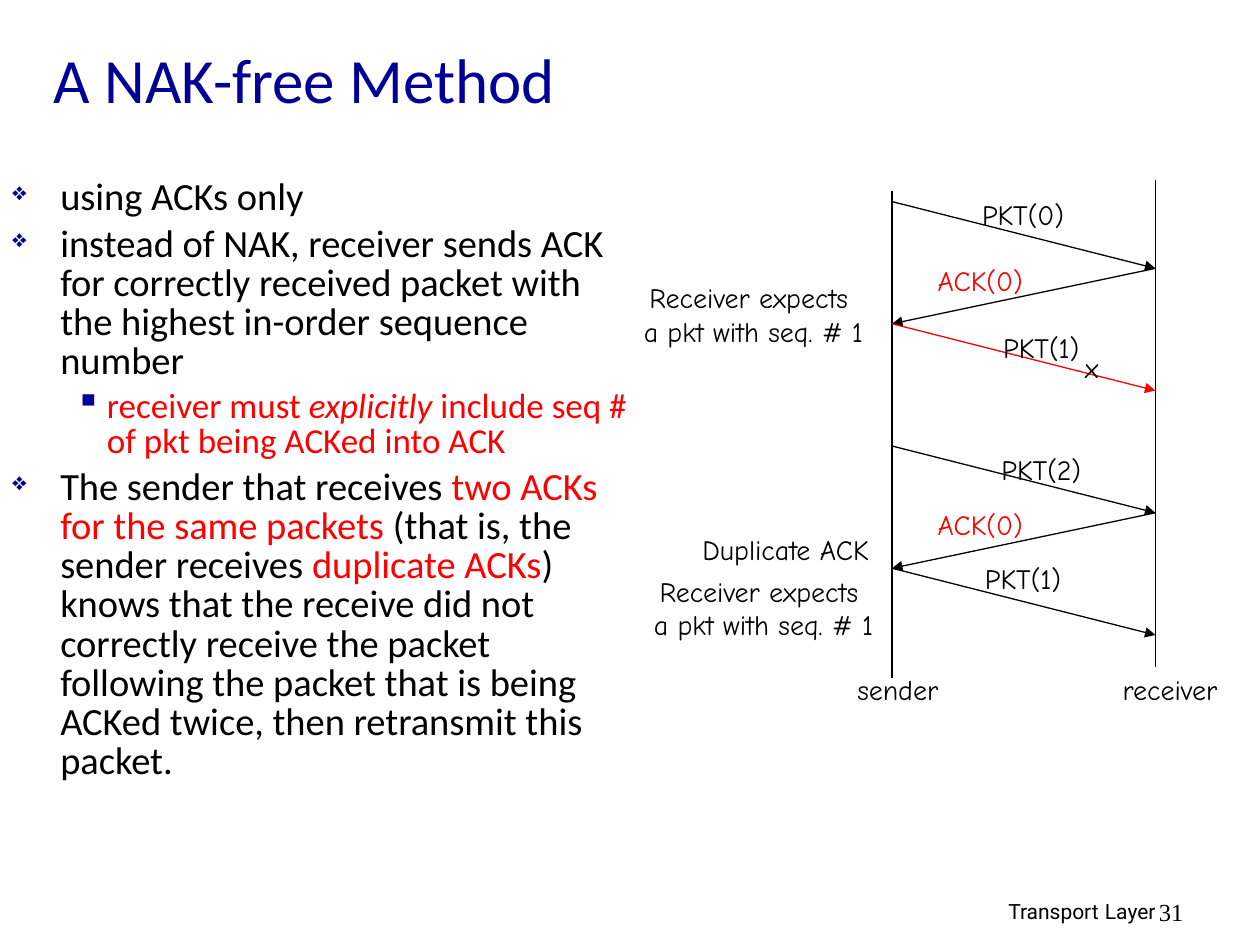
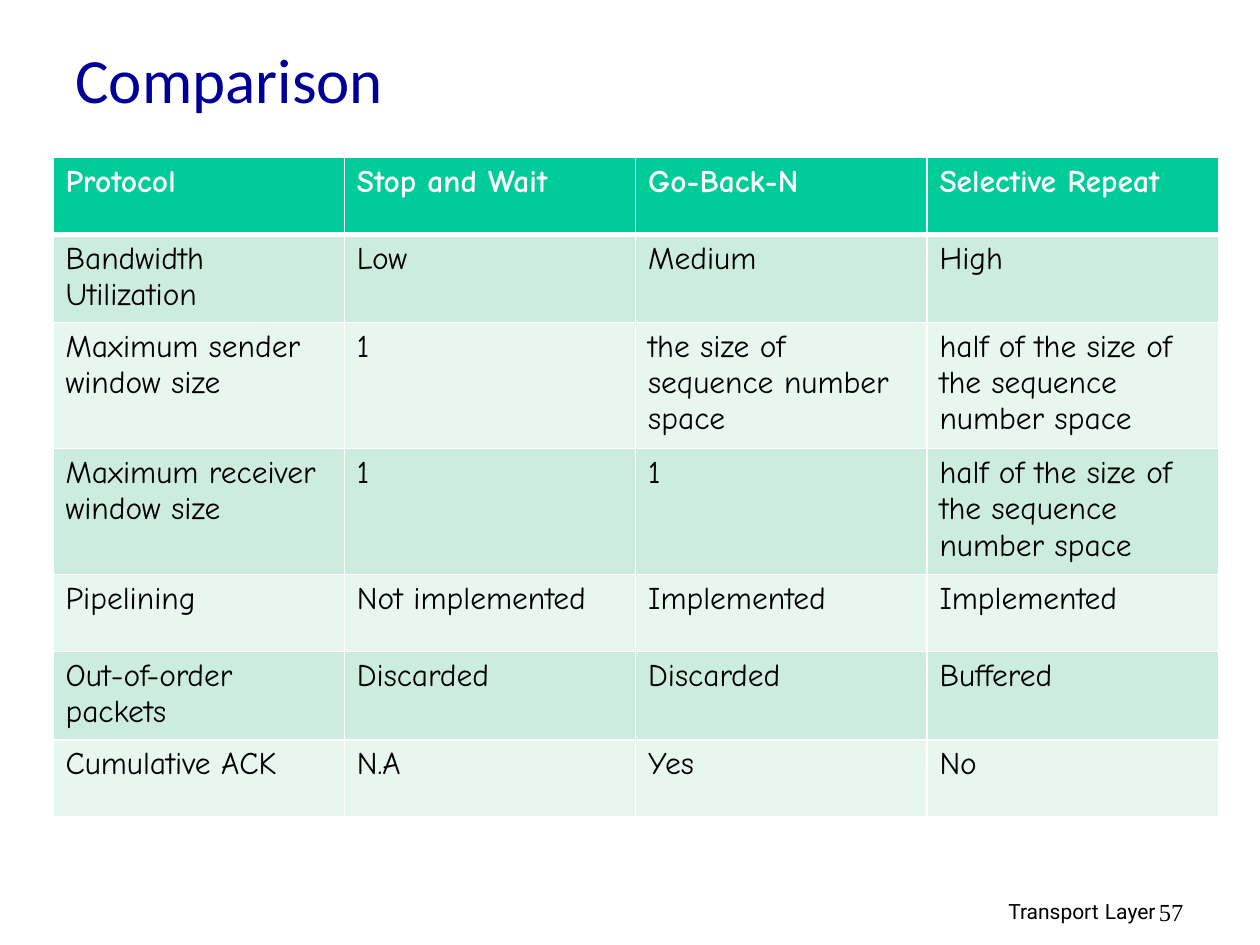
from lxml import etree
from pptx import Presentation
from pptx import util as u
from pptx.dml import color
from pptx.enum import shapes, text
from pptx.oxml import ns

HUES = {"ink": "000000", "navy": "000099", "red": "FF0000", "white": "FFFFFF",
        "head": "00CC99", "odd": "CBECDE", "even": "E7F6EF"}
SENDER, RECEIVER = 7.08, 9.17
ROUND = 1.94


def hue(name):
    return color.RGBColor.from_string(HUES[name])


def sub(node, tag, **attrs):
    return etree.SubElement(node, ns.qn("a:" + tag), attrs)


class Deck:
    sans, hand, small, serif = "Calibri", "Comic Neue", "Roboto", "Times New Roman"

    def __init__(self):
        self.file = Presentation()
        self.file.slide_width = u.Inches(10)
        self.file.slide_height = u.Inches(7.5)
        self.slide = None

    def style(self, font, face, size, shade="ink", bold=False, italic=False):
        font.name, font.size = face, u.Pt(size)
        font.bold, font.italic = bold, italic
        font.color.rgb = hue(shade)

    def page(self, title, left, number):
        self.slide = self.file.slides.add_slide(self.file.slide_layouts[6])
        frame = self.box(left, 0, 8.5, 1.25)
        frame.vertical_anchor = text.MSO_ANCHOR.MIDDLE
        self.line(frame.paragraphs[0], [(title, "navy", False)], self.sans, 36)
        frame = self.box(9.1, 7.07, 0.74, 0.3)
        self.line(frame.paragraphs[0], [(number, "ink", False)], self.serif, 14)
        para = self.box(6.1, 7.05, 3.17, 0.31).paragraphs[0]
        para.alignment = text.PP_ALIGN.RIGHT
        for words, size in (("Transport", 12), (" ", 14), ("Layer", 12)):
            self.line(para, [(words, "ink", False)], self.small, size)

    def box(self, left, top, width, height, wrap=True):
        frame = self.slide.shapes.add_textbox(
            *(u.Inches(n) for n in (left, top, width, height))).text_frame
        frame.word_wrap = wrap
        return frame

    def line(self, para, runs, face, size):
        for words, shade, italic in runs:
            run = para.add_run()
            run.text = words
            self.style(run.font, face, size, shade, italic=italic)

    def label(self, words, left, top, width, height=0.39, shade="ink"):
        frame = self.box(left, top, width, height, False)
        frame.text = words
        for para in frame.paragraphs:
            para.alignment = text.PP_ALIGN.CENTER
            for run in para.runs:
                self.style(run.font, self.hand, 16, shade)

    def bullets(self, items, left, top, width, height):
        frame = self.box(left, top, width, height)
        for i, (level, runs) in enumerate(items):
            para = frame.add_paragraph() if i else frame.paragraphs[0]
            indent, hang, size, share, mark = (
                (0.75, 0.25, 20, 100, "▪") if level else (0.38, 0.38, 22, 65, "❖"))
            props = para._p.get_or_add_pPr()
            props.set("marL", str(u.Inches(indent)))
            props.set("indent", str(-u.Inches(hang)))
            sub(sub(props, "buClr"), "srgbClr", val=HUES["navy"])
            sub(props, "buSzPct", val=str(share * 1000))
            sub(props, "buChar", char=mark)
            para.level = level
            para.line_spacing = 0.85
            if i:
                para.space_before = u.Pt(size * 0.2)
            self.line(para, runs, self.sans, size)

    def stroke(self, x1, y1, x2, y2, shade="ink", arrow=False):
        link = self.slide.shapes.add_connector(
            shapes.MSO_CONNECTOR.STRAIGHT, *(u.Inches(n) for n in (x1, y1, x2, y2)))
        link.line.color.rgb = hue(shade)
        link.line.width = u.Pt(0.75)
        if arrow:
            sub(link.line._get_or_add_ln(), "tailEnd", type="triangle")
        sub(link._element.spPr, "effectLst")

    def edge(self, cell, side, width):
        props = cell._tc.get_or_add_tcPr()
        rule = sub(props, "ln" + side, w=str(u.Pt(width)))
        sub(sub(rule, "solidFill"), "srgbClr", val=HUES["white"])

    def table(self, rows, heights, left, top, width):
        grid = self.slide.shapes.add_table(
            len(rows), len(rows[0]), u.Inches(left), u.Inches(top),
            u.Inches(width), u.Inches(sum(heights))).table
        for r, (row, height) in enumerate(zip(rows, heights)):
            grid.rows[r].height = u.Inches(height)
            fill = "head" if r == 0 else "odd" if r % 2 else "even"
            for c, words in enumerate(row):
                cell = grid.cell(r, c)
                for side in "LRTB":
                    thick = (r, side) in ((0, "B"), (1, "T"))
                    self.edge(cell, side, 3 if thick else 1)
                cell.fill.solid()
                cell.fill.fore_color.rgb = hue(fill)
                cell.text = words
                self.style(cell.text_frame.paragraphs[0].runs[0].font, self.hand,
                           18, "ink" if r else "white", bold=r == 0)


def method(deck):
    deck.page("A NAK-free Method", 0.33, "31")
    deck.bullets([
        (0, [("using ACKs only", "ink", False)]),
        (0, [("instead of NAK, receiver sends ACK for correctly received packet "
              "with the highest in-order sequence number", "ink", False)]),
        (1, [("receiver must ", "red", False), ("explicitly", "red", True),
             (" include seq # of pkt being ACKed into ACK", "red", False)]),
        (0, [("The sender that receives ", "ink", False),
             ("two ACKs for the same packets ", "red", False),
             ("(that is, the sender receives ", "ink", False),
             ("duplicate ACKs", "red", False),
             (") knows that the receive did not correctly receive the packet "
              "following the packet that is being ACKed twice, then retransmit "
              "this packet.", "ink", False)]),
    ], 0, 1.37, 5.08, 5.38)

    for x, top in ((RECEIVER, 1.43), (SENDER, 1.52)):
        deck.stroke(x, top, x, top + 3.86)
    for start, lost in ((1.6, "red"), (1.6 + ROUND, "ink")):
        back, again, end = start + 0.53, start + 0.97, start + 1.5
        deck.stroke(SENDER, start, RECEIVER, back, arrow=True)
        deck.stroke(RECEIVER, back, SENDER, again, arrow=True)
        deck.stroke(SENDER, again, RECEIVER, end, lost, True)
        deck.label("ACK(0)", 7.31, start + 0.44, 0.94, shade="red")

    for words, left, top, width in (
            ("sender", 6.67, 5.29, 0.91), ("receiver", 8.75, 5.29, 1.07),
            ("PKT(0)", 7.67, 1.52, 0.9), ("PKT(1)", 7.83, 2.57, 0.87),
            ("PKT(2)", 7.81, 3.54, 0.91), ("PKT(1)", 7.67, 4.41, 0.9),
            ("x", 8.5, 2.73, 0.33), ("Duplicate ACK", 5.39, 4.18, 1.69)):
        deck.label(words, left, top, width)
    for left, top in ((4.92, 2.18), (5, 4.51)):
        deck.label("Receiver expects \na pkt with seq. # 1", left, top, 2.12, 0.64)


def compare(deck):
    deck.page("Comparison", 0.5, "57")
    half = "half of the size of the sequence number space"
    deck.table([
        ("Protocol", "Stop and Wait", "Go-Back-N", "Selective Repeat"),
        ("Bandwidth Utilization", "Low", "Medium", "High"),
        ("Maximum sender window size", "1", "the size of sequence number space", half),
        ("Maximum receiver window size", "1", "1", half),
        ("Pipelining", "Not implemented", "Implemented", "Implemented"),
        ("Out-of-order packets", "Discarded", "Discarded", "Buffered"),
        ("Cumulative ACK", "N.A", "Yes", "No"),
    ], (0.61, 0.7, 1, 1, 0.61, 0.7, 0.61), 0.42, 1.25, 9.25)


def main():
    deck = Deck()
    method(deck)
    compare(deck)
    deck.file.save("out.pptx")


if __name__ == "__main__":
    main()
